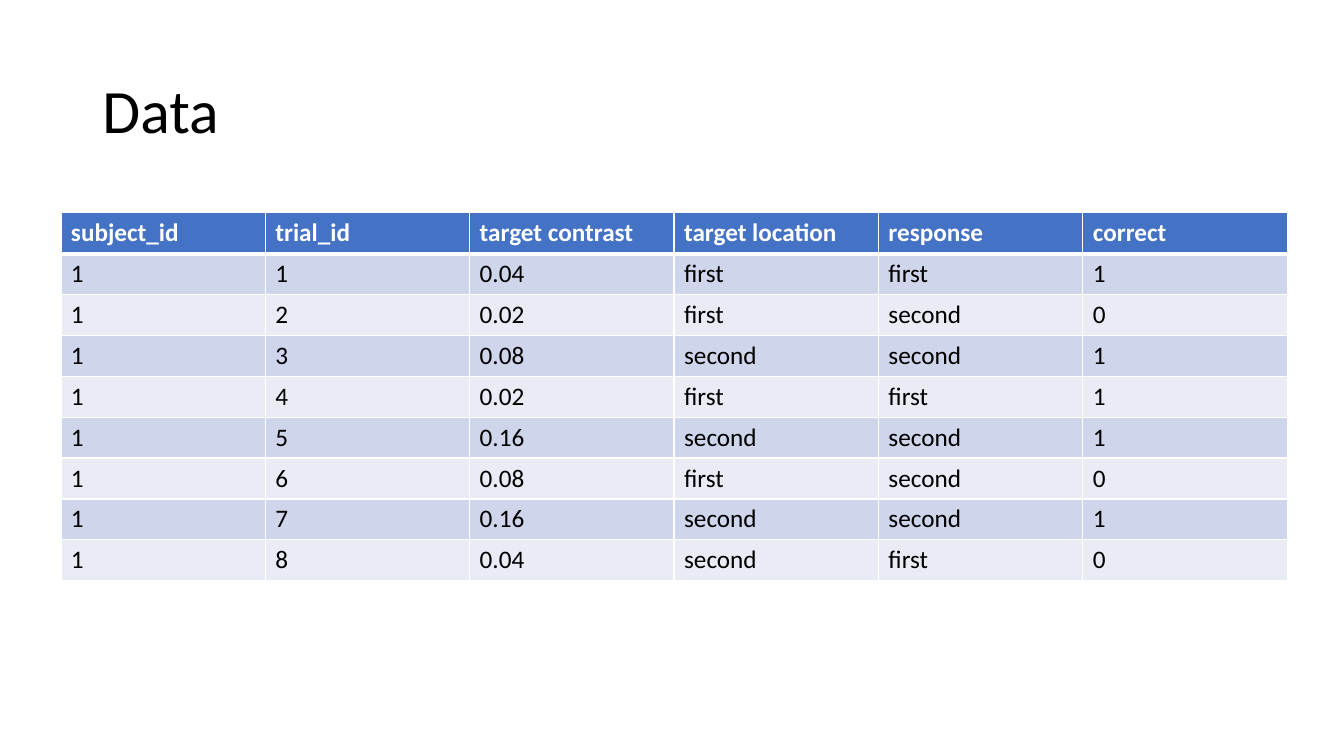
from lxml.etree import SubElement as Sub
from pptx import Presentation
from pptx.dml.color import RGBColor as RGB
from pptx.enum.text import MSO_ANCHOR as Anchor, MSO_AUTO_SIZE as Fit, PP_ALIGN as Align
from pptx.oxml.ns import qn
from pptx.util import Pt

BLACK = RGB(0x00, 0x00, 0x00)
WHITE = RGB(0xFF, 0xFF, 0xFF)
BLUE = RGB(0x44, 0x72, 0xC4)
DARK = RGB(0xCF, 0xD5, 0xEA)
LIGHT = RGB(0xE9, 0xEB, 0xF5)

FONT = "Calibri"
COL_W = Pt(146)
ROW_H = Pt(29.2)
THIN, THICK = Pt(1), Pt(3)

HEAD = ["subject_id", "trial_id", "target contrast",
        "target location", "response", "correct"]
TRIALS = [
    ("0.04", "first", "first"),
    ("0.02", "first", "second"),
    ("0.08", "second", "second"),
    ("0.02", "first", "first"),
    ("0.16", "second", "second"),
    ("0.08", "first", "second"),
    ("0.16", "second", "second"),
    ("0.04", "second", "first"),
]


def add_run(para, text, size, color, bold=False):
    run = para.add_run()
    run.text = text
    font = run.font
    font.name, font.size, font.bold = FONT, Pt(size), bold
    font.color.rgb = color


def set_title(slide, text):
    title = slide.shapes.title
    title.left, title.top = Pt(66), Pt(28.75)
    title.width, title.height = Pt(828), Pt(104.4)
    frame = title.text_frame
    frame.auto_size = Fit.NONE
    frame.vertical_anchor = Anchor.MIDDLE
    para = frame.paragraphs[0]
    para.alignment = Align.LEFT
    para.line_spacing = 0.9
    add_run(para, text, 44, BLACK)


def add_edge(cell, side, width):
    line = Sub(cell._tc.get_or_add_tcPr(), qn(f"a:ln{side}"), w=str(width))
    fill = Sub(line, qn("a:solidFill"))
    Sub(fill, qn("a:srgbClr"), val=str(WHITE))


def fill_cell(cell, text, row):
    """Format one cell; the header and the banding follow from its row."""
    head = row == 0
    edges = {"L": THIN, "R": THIN,
             "T": THICK if row == 1 else THIN,
             "B": THICK if head else THIN}
    for side, width in edges.items():
        add_edge(cell, side, width)
    cell.fill.solid()
    cell.fill.fore_color.rgb = BLUE if head else DARK if row % 2 else LIGHT
    add_run(cell.text_frame.paragraphs[0], text, 18,
            WHITE if head else BLACK, head)


def add_grid(slide, rows):
    count, cols = len(rows), len(rows[0])
    table = slide.shapes.add_table(count, cols, Pt(43.5), Pt(152),
                                   COL_W * cols, ROW_H * count).table
    for col in table.columns:
        col.width = COL_W
    for r, values in enumerate(rows):
        table.rows[r].height = ROW_H
        for c, text in enumerate(values):
            fill_cell(table.cell(r, c), text, r)


def trial_rows():
    """Number the trials and score each response against its location."""
    return [["1", str(num), level, place, reply, str(int(place == reply))]
            for num, (level, place, reply) in enumerate(TRIALS, 1)]


def main():
    deck = Presentation()
    deck.slide_width, deck.slide_height = Pt(960), Pt(540)
    slide = deck.slides.add_slide(deck.slide_layouts[5])
    set_title(slide, "Data")
    add_grid(slide, [HEAD] + trial_rows())
    deck.save("out.pptx")


if __name__ == "__main__":
    main()
